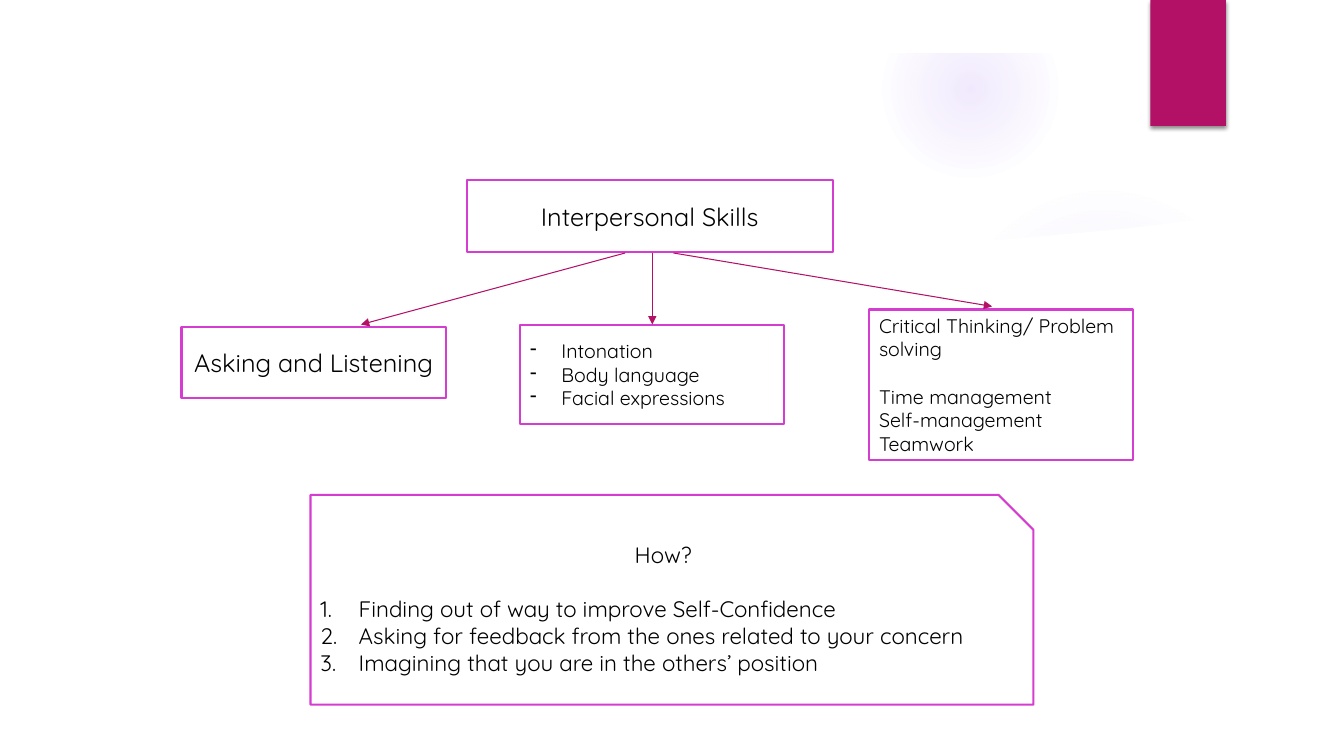
from pptx import Presentation
from pptx.dml.color import RGBColor
from pptx.enum.shapes import MSO_CONNECTOR, MSO_SHAPE as SHAPE
from pptx.enum.text import MSO_ANCHOR, PP_ALIGN as ALIGN
from pptx.oxml import parse_xml
from pptx.oxml.ns import nsdecls
from pptx.util import Inches, Pt

COLORS = {"white": "FFFFFF", "black": "000000", "magenta": "B31166",
          "orchid": "D53DD0", "violet": "9B6BF2"}
FONT = "Quicksand"


def xml(tag, attributes="", inner=""):
    return parse_xml(f"<a:{tag} {nsdecls('a')} {attributes}>{inner}</a:{tag}>")


def add_shape(kind, left, top, width, height, fill=None, line=None):
    shape = slide.shapes.add_shape(
        kind, Inches(left), Inches(top), Inches(width), Inches(height))
    shape.shadow.inherit = False
    if fill:
        shape.fill.solid()
        shape.fill.fore_color.rgb = RGBColor.from_string(COLORS[fill])
    if line:
        shape.line.color.rgb = RGBColor.from_string(COLORS[line])
        shape.line.width = Pt(1.5)
    else:
        shape.line.fill.background()
    return shape


presentation = Presentation()
presentation.slide_width = Inches(13.33)
presentation.slide_height = Inches(7.5)
slide = presentation.slides.add_slide(presentation.slide_layouts[6])

# Violet glows: left, top, diameter, stops of (position %, opacity %)
glows = [
    (9.41, 1.83, 3.08, [(0, 7), (36, 6), (69, 0), (100, 0)]),
    (8.75, 0.01, 1.75, [(0, 14), (36, 7), (73, 0), (100, 0)]),
]
for left, top, diameter, stops in glows:
    glow = add_shape(SHAPE.OVAL, left, top, diameter, diameter)
    stop_list = "".join(
        f'<a:gs pos="{position * 1000}"><a:srgbClr val="{COLORS["violet"]}">'
        f'<a:alpha val="{opacity * 1000}"/></a:srgbClr></a:gs>'
        for position, opacity in stops)
    glow._element.spPr.insert(2, xml(
        "gradFill", 'rotWithShape="1"',
        f'<a:gsLst>{stop_list}</a:gsLst><a:path path="circle">'
        '<a:fillToRect l="50000" t="50000" r="50000" b="50000"/></a:path>'))

# White layers over the glows: outline points, opacity %
layers = [
    ([(9.34, 2.5), (10.6, 2.44), (11.75, 2.32), (12.89, 2.14), (12.83, 1.66),
      (12.25, 1.85), (11.67, 2), (11.09, 2.14), (10.53, 2.25), (9.89, 2.35),
      (9.3, 2.43)], 20),
    ([(0.5, 2.04), (0.5, 7), (12.84, 7), (12.84, 2.04), (12.28, 2.13),
      (11.72, 2.2), (11.16, 2.27), (10.6, 2.32), (10.04, 2.37), (9.49, 2.41),
      (8.67, 2.45), (7.6, 2.47), (6.57, 2.48), (5.35, 2.45), (4.44, 2.41),
      (3.6, 2.36), (2.49, 2.27), (1.59, 2.18), (0.94, 2.1)], 100),
]
for points, opacity in layers:
    outline = [(Inches(x), Inches(y)) for x, y in points]
    builder = slide.shapes.build_freeform(*outline[0])
    builder.add_line_segments(outline[1:], close=True)
    layer = builder.convert_to_shape()
    layer.shadow.inherit = False
    layer.line.fill.background()
    layer.fill.solid()
    layer.fill.fore_color.rgb = RGBColor.from_string(COLORS["white"])
    layer._element.spPr.find(".//{*}srgbClr").append(
        xml("alpha", f'val="{opacity * 1000}"'))

frame = add_shape(SHAPE.FRAME, 0, 0, 13.33, 7.5, "white")
frame.adjustments[0] = 0.07

# Corner tab with its shadow
tab = add_shape(SHAPE.RECTANGLE, 11.41, 0, 0.75, 1.25, "magenta")
tab._element.spPr.find("{*}effectLst").append(xml(
    "outerShdw", f'blurRad="{Pt(3)}" dist="{Pt(2)}" dir="5400000" rotWithShape="0"',
    f'<a:srgbClr val="{COLORS["black"]}"><a:alpha val="45000"/></a:srgbClr>'))

# Boxes: kind, place, size, paragraphs of (text, alignment, bullet, space before)
dash = ("buChar", 'char="-"', 0.31)
number = ("buAutoNum", 'type="arabicPeriod"', 0.38)
boxes = [
    (SHAPE.RECTANGLE, (4.63, 1.79, 3.63, 0.71), 18,
     [("Interpersonal Skills", ALIGN.CENTER, None, 0)]),
    (SHAPE.RECTANGLE, (1.8, 3.24, 2.62, 0.71), 18,
     [("Asking and Listening", ALIGN.CENTER, None, 0)]),
    (SHAPE.RECTANGLE, (5.16, 3.22, 2.62, 0.99), 14,
     [(text, ALIGN.LEFT, dash, 0)
      for text in ("Intonation", "Body language", "Facial expressions")]),
    (SHAPE.RECTANGLE, (8.62, 3.07, 2.62, 1.49), 14,
     [("Critical Thinking/ Problem solving", ALIGN.LEFT, None, 0),
      ("Time management", ALIGN.LEFT, None, 17),
      ("Self-management", ALIGN.LEFT, None, 0),
      ("Teamwork", ALIGN.LEFT, None, 0)]),
    (SHAPE.SNIP_1_RECTANGLE, (3.08, 4.91, 7.17, 2.08), 16,
     [("How?", ALIGN.CENTER, None, 0),
      ("Finding out of way to improve Self-Confidence", ALIGN.LEFT, number, 19),
      ("Asking for feedback from the ones related to your concern",
       ALIGN.LEFT, number, 0),
      ("Imagining that you are in the others’ position", ALIGN.LEFT, number, 0)]),
]
for kind, place, size, paragraphs in boxes:
    box = add_shape(kind, *place, "white", "orchid")
    frame_text = box.text_frame
    frame_text.word_wrap = True
    frame_text.vertical_anchor = MSO_ANCHOR.MIDDLE
    for index, (text, alignment, bullet, space) in enumerate(paragraphs):
        paragraph = frame_text.add_paragraph() if index else frame_text.paragraphs[0]
        paragraph.alignment = alignment
        paragraph.space_before = Pt(space)
        if bullet:
            tag, attributes, indent = bullet
            properties = paragraph._p.get_or_add_pPr()
            properties.set("marL", str(Inches(indent)))
            properties.set("indent", str(-Inches(indent)))
            properties.append(xml(tag, attributes))
        run = paragraph.add_run()
        run.text = text
        run.font.name = FONT
        run.font.size = Pt(size)
        run.font.color.rgb = RGBColor.from_string(COLORS["black"])

# Arrows from the heading to the three skill boxes
for start_x, end_x, end_y in [(6.2, 3.58, 3.22), (6.47, 6.47, 3.22), (6.68, 9.84, 3.04)]:
    arrow = slide.shapes.add_connector(
        MSO_CONNECTOR.STRAIGHT, Inches(start_x), Inches(2.51), Inches(end_x), Inches(end_y))
    arrow.line.color.rgb = RGBColor.from_string(COLORS["magenta"])
    arrow.line.width = Pt(0.75)
    arrow.line._get_or_add_ln().append(xml("tailEnd", 'type="triangle"'))
    arrow._element.spPr.append(xml("effectLst"))

presentation.save("out.pptx")
